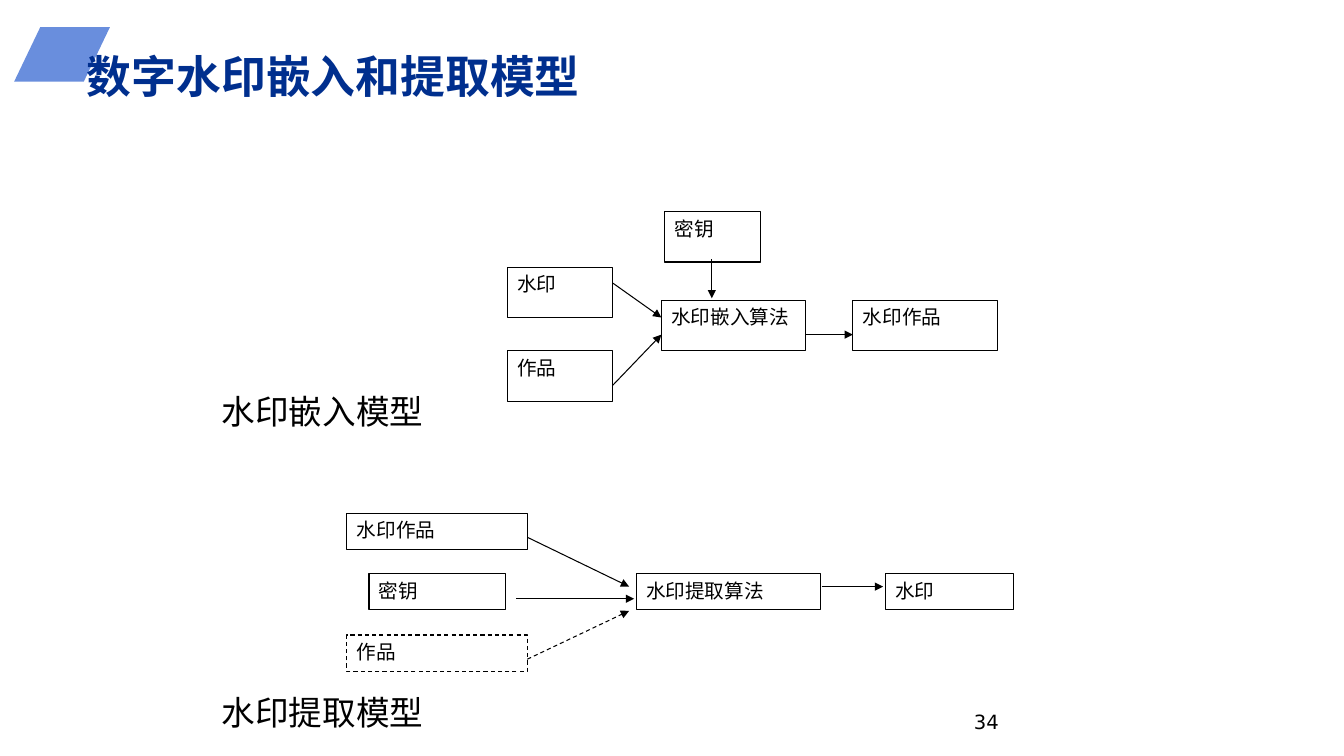
from lxml.etree import SubElement
from pptx import Presentation
from pptx.dml.color import RGBColor
from pptx.enum.dml import MSO_LINE
from pptx.enum.shapes import MSO_CONNECTOR, MSO_SHAPE
from pptx.enum.text import MSO_ANCHOR, PP_ALIGN
from pptx.oxml.ns import qn
from pptx.util import Inches, Pt

BLACK, WHITE, NAVY, SKY = "000000", "FFFFFF", "002F8E", "698EDD"
BODY_FONT, TITLE_FONT = "DejaVu Sans", "Arial"

EMBED_BOXES = [
    ("密钥", 4.49, 0, 0.95, False),
    ("水印", 2.93, 0.55, 1.05, False),
    ("作品", 2.93, 1.38, 1.05, False),
    ("水印嵌入算法", 4.46, 0.88, 1.43, False),
    ("水印作品", 6.36, 0.88, 1.43, False),
]
EMBED_ARROWS = [
    (4.96, 0.47, 4.96, 0.86, False),
    (3.98, 0.71, 4.46, 1.05, False),
    (3.98, 1.72, 4.46, 1.22, False),
    (5.89, 1.22, 6.36, 1.22, False),
]
EXTRACT_BOXES = [
    ("水印作品", 1.34, 0, 1.79, False),
    ("密钥", 1.56, 0.6, 1.35, False),
    ("作品", 1.34, 1.21, 1.79, True),
    ("水印提取算法", 4.21, 0.6, 1.83, False),
    ("水印", 6.68, 0.6, 1.27, False),
]
EXTRACT_ARROWS = [
    (3.13, 0.24, 4.14, 0.73, False),
    (3.02, 0.85, 4.19, 0.85, False),
    (3.13, 1.45, 4.14, 0.97, True),
    (6.05, 0.73, 6.66, 0.73, False),
]


def color(hex_code):
    """Turn a hex string into a colour."""
    return RGBColor.from_string(hex_code)


def write(frame, text, size, font=BODY_FONT, ink=BLACK):
    """Put one styled paragraph in a text frame and return it."""
    paragraph = frame.paragraphs[0]
    paragraph.text = text
    paragraph.font.size = Pt(size)
    paragraph.font.name = font
    paragraph.font.color.rgb = color(ink)
    return paragraph


def style_line(line, dashed):
    """Give a thin black outline, dashed for optional parts."""
    line.color.rgb = color(BLACK)
    line.width = Pt(0.75)
    if dashed:
        line.dash_style = MSO_LINE.DASH


def add_label(slide, text, left, top, width, size):
    """Add a single-line text box."""
    label = slide.shapes.add_textbox(Inches(left), Inches(top), Inches(width), Inches(0.5))
    write(label.text_frame, text, size)
    return label


def add_node(slide, text, left, top, width, height, dashed):
    """Add a labelled rectangle of a model."""
    node = slide.shapes.add_shape(
        MSO_SHAPE.RECTANGLE, Inches(left), Inches(top), Inches(width), Inches(height))
    node.shadow.inherit = False
    node.fill.solid()
    node.fill.fore_color.rgb = color(WHITE)
    style_line(node.line, dashed)
    node.text_frame.word_wrap = True
    node.text_frame.vertical_anchor = MSO_ANCHOR.TOP
    write(node.text_frame, text, 14).alignment = PP_ALIGN.JUSTIFY


def add_arrow(slide, x1, y1, x2, y2, dashed):
    """Add a straight arrow pointing at its second end."""
    arrow = slide.shapes.add_connector(
        MSO_CONNECTOR.STRAIGHT, Inches(x1), Inches(y1), Inches(x2), Inches(y2))
    style_line(arrow.line, dashed)
    properties = arrow.element.spPr
    SubElement(properties.find(qn("a:ln")), qn("a:tailEnd"), type="triangle")
    SubElement(properties, qn("a:effectLst"))


def add_model(slide, left, top, node_height, caption, boxes, arrows):
    """Draw a watermark model with its caption at the lower left."""
    for text, x, y, width, dashed in boxes:
        add_node(slide, text, left + x, top + y, width, node_height, dashed)
    for x1, y1, x2, y2, dashed in arrows:
        add_arrow(slide, left + x1, top + y1, left + x2, top + y2, dashed)
    add_label(slide, caption, left, top + 1.73, 2.2, 24)


def add_heading(slide, left, top, width, height):
    """Format the title and set the slanted accent behind it."""
    title = slide.shapes.title
    title.left, title.top = Inches(left), Inches(top)
    title.width, title.height = Inches(width), Inches(height)
    title.text_frame.vertical_anchor = MSO_ANCHOR.MIDDLE
    heading = write(title.text_frame, "数字水印嵌入和提取模型", 32, TITLE_FONT, NAVY)
    heading.font.bold = True
    heading.alignment = PP_ALIGN.LEFT
    heading.line_spacing = 0.9

    accent = slide.shapes.add_shape(
        MSO_SHAPE.PARALLELOGRAM, Inches(left - 0.62), Inches(top - 0.12),
        Inches(0.95), Inches(0.54))
    accent.adjustments[0] = 0.48
    accent.shadow.inherit = False
    accent.fill.solid()
    accent.fill.fore_color.rgb = color(SKY)
    accent.line.fill.background()
    title.element.addprevious(accent.element)


def main():
    """Build and save the slide."""
    deck = Presentation()
    deck.slide_width, deck.slide_height = Inches(13.33), Inches(7.5)
    slide = deck.slides.add_slide(deck.slide_layouts[5])
    add_heading(slide, 0.76, 0.39, 11.81, 0.79)
    add_model(slide, 2.1, 2.1, 0.5, "水印嵌入模型", EMBED_BOXES, EMBED_ARROWS)
    add_model(slide, 2.1, 5.09, 0.36, "水印提取模型", EXTRACT_BOXES, EXTRACT_ARROWS)
    page_number = add_label(slide, "34", 9.56, 6.83, 3.11, 14)
    page_number.text_frame.word_wrap = True
    page_number.text_frame.vertical_anchor = MSO_ANCHOR.BOTTOM
    deck.save("out.pptx")


if __name__ == "__main__":
    main()
